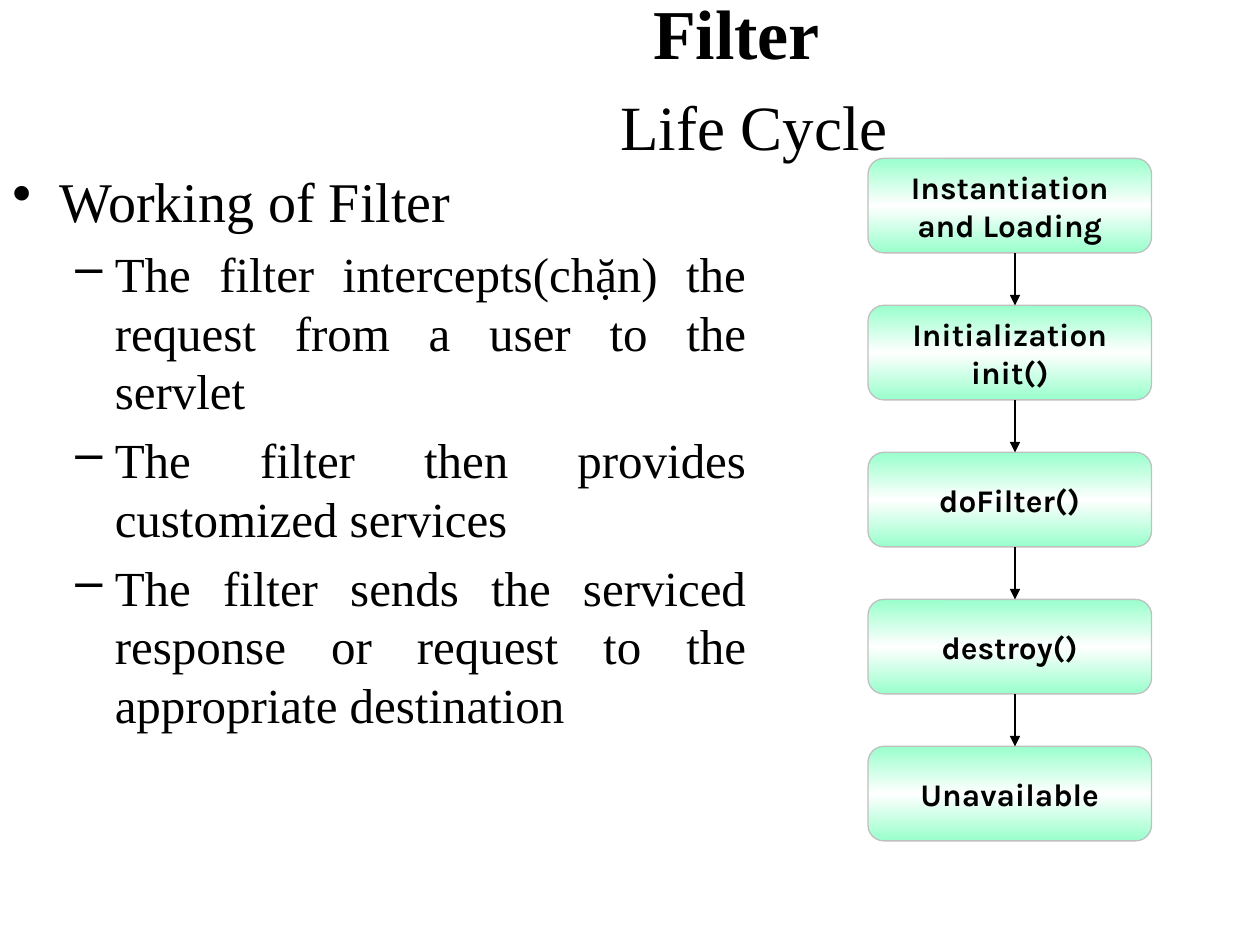
import copy

import pptx
import pptx.util
import pptx.dml.color
import pptx.enum.shapes
import pptx.enum.text
import pptx.oxml
import pptx.oxml.ns

Pt = pptx.util.Pt
qn = pptx.oxml.ns.qn
ALIGN = pptx.enum.text.PP_ALIGN
ANCHOR = pptx.enum.text.MSO_ANCHOR

TITLE = [  # text, size key, bold
    ("Filter \v", "title", True),
    (" ", "title_gap", True),
    ("Life Cycle", "subtitle", False),
]
POINTS = [  # level, text
    (0, "Working of Filter"),
    (1, "The filter intercepts(chặn) the request from a user to the servlet"),
    (1, "The filter then provides customized services"),
    (1, "The filter sends the serviced response or request to the appropriate destination"),
]
STAGES = ["Instantiation and Loading", "Initialization init()", "doFilter()",
          "destroy()", "Unavailable"]

THEME = {
    "text_font": "Times New Roman", "stage_font": "Karla",
    "ink": "000000", "edge": "C0C0C0", "mint": "99FFCC", "white": "FFFFFF",
    "title": 40, "title_gap": 44, "subtitle": 36, "stage": 18, "line": 0.75,
}
LEVELS = [  # one entry per outline level
    {"bullet": "•", "size": 32, "margin": 27, "hang": 27},
    {"bullet": "–", "size": 28, "margin": 58.5, "hang": 22.5},
]
STAGE_LEFT, STAGE_TOP, STAGE_WIDTH, STAGE_HEIGHT, STAGE_PITCH = 496, 90.5, 162, 54, 84
ARROW_X = 580


def rgb(key):
    return pptx.dml.color.RGBColor.from_string(THEME[key])


def add_text(paragraph, text, *, size, font="text_font", bold=False, align=ALIGN.CENTER):
    paragraph.alignment = align
    if text.endswith("\v"):
        add_text(paragraph, text[:-1], size=size, font=font, bold=bold, align=align)
        paragraph.add_line_break()
        return
    run = paragraph.add_run()
    run.text = text
    run.font.name = THEME[font]
    run.font.size = Pt(size)
    run.font.bold = bold
    run.font.color.rgb = rgb("ink")


def set_bullet(paragraph, level):
    properties = paragraph._p.get_or_add_pPr()
    properties.set("marL", str(Pt(level["margin"])))
    properties.set("indent", str(-Pt(level["hang"])))
    bullet = pptx.oxml.parse_xml(
        f'<a:buChar {pptx.oxml.ns.nsdecls("a")} char="{level["bullet"]}"/>')
    properties.append(bullet)


def fill_title(title):
    title.left, title.top, title.width, title.height = Pt(131), Pt(0), Pt(589), Pt(89)
    title.text_frame.vertical_anchor = ANCHOR.MIDDLE
    title.text_frame.auto_size = pptx.enum.text.MSO_AUTO_SIZE.NONE
    for text, size, bold in TITLE:
        add_text(title.text_frame.paragraphs[0], text, size=THEME[size], bold=bold)


def add_points(slide):
    frame = slide.shapes.add_textbox(Pt(0), Pt(91.5), Pt(433.5), Pt(448.5)).text_frame
    frame.word_wrap = True
    for index, (depth, text) in enumerate(POINTS):
        level = LEVELS[depth]
        paragraph = frame.add_paragraph() if index else frame.paragraphs[0]
        paragraph.level = depth
        paragraph.space_before = Pt(0.2 * level["size"] if index else 0)
        set_bullet(paragraph, level)
        add_text(paragraph, text, size=level["size"], align=ALIGN.JUSTIFY)


def fill_banded(shape):
    """Vertical gradient: mint at both edges, white in the middle."""
    shape.fill.gradient()
    shape.fill.gradient_angle = 90
    for stop in shape.fill.gradient_stops:
        stop.color.rgb = rgb("mint")
    stops = shape._element.spPr.find(qn("a:gradFill")).find(qn("a:gsLst"))
    middle = copy.deepcopy(stops[0])
    middle.set("pos", "50000")
    middle[0].set("val", THEME["white"])
    stops.insert(1, middle)


def add_stage(slide, text, top):
    shape = slide.shapes.add_shape(
        pptx.enum.shapes.MSO_SHAPE.ROUNDED_RECTANGLE,
        Pt(STAGE_LEFT), Pt(top), Pt(STAGE_WIDTH), Pt(STAGE_HEIGHT))
    shape.shadow.inherit = False
    fill_banded(shape)
    shape.line.color.rgb = rgb("edge")
    shape.line.width = Pt(THEME["line"])
    shape.text_frame.word_wrap = True
    shape.text_frame.vertical_anchor = ANCHOR.MIDDLE
    add_text(shape.text_frame.paragraphs[0], text,
             size=THEME["stage"], font="stage_font", bold=True)


def add_arrow(slide, start, end):
    arrow = slide.shapes.add_connector(
        pptx.enum.shapes.MSO_CONNECTOR.STRAIGHT,
        Pt(ARROW_X), Pt(start), Pt(ARROW_X), Pt(end))
    arrow.line.color.rgb = rgb("ink")
    arrow.line.width = Pt(THEME["line"])
    arrow.line._get_or_add_ln().append(pptx.oxml.parse_xml(
        f'<a:tailEnd {pptx.oxml.ns.nsdecls("a")} type="triangle"/>'))
    arrow._element.spPr.append(pptx.oxml.parse_xml(
        f'<a:effectLst {pptx.oxml.ns.nsdecls("a")}/>'))


def main():
    deck = pptx.Presentation()
    deck.slide_width, deck.slide_height = Pt(720), Pt(540)
    slide = deck.slides.add_slide(deck.slide_layouts.get_by_name("Title Only"))
    fill_title(slide.shapes.title)
    add_points(slide)
    for index, text in enumerate(STAGES):
        top = STAGE_TOP + index * STAGE_PITCH
        add_stage(slide, text, top)
        if index:
            add_arrow(slide, top - STAGE_PITCH + STAGE_HEIGHT, top)
    deck.save("out.pptx")


if __name__ == "__main__":
    main()
